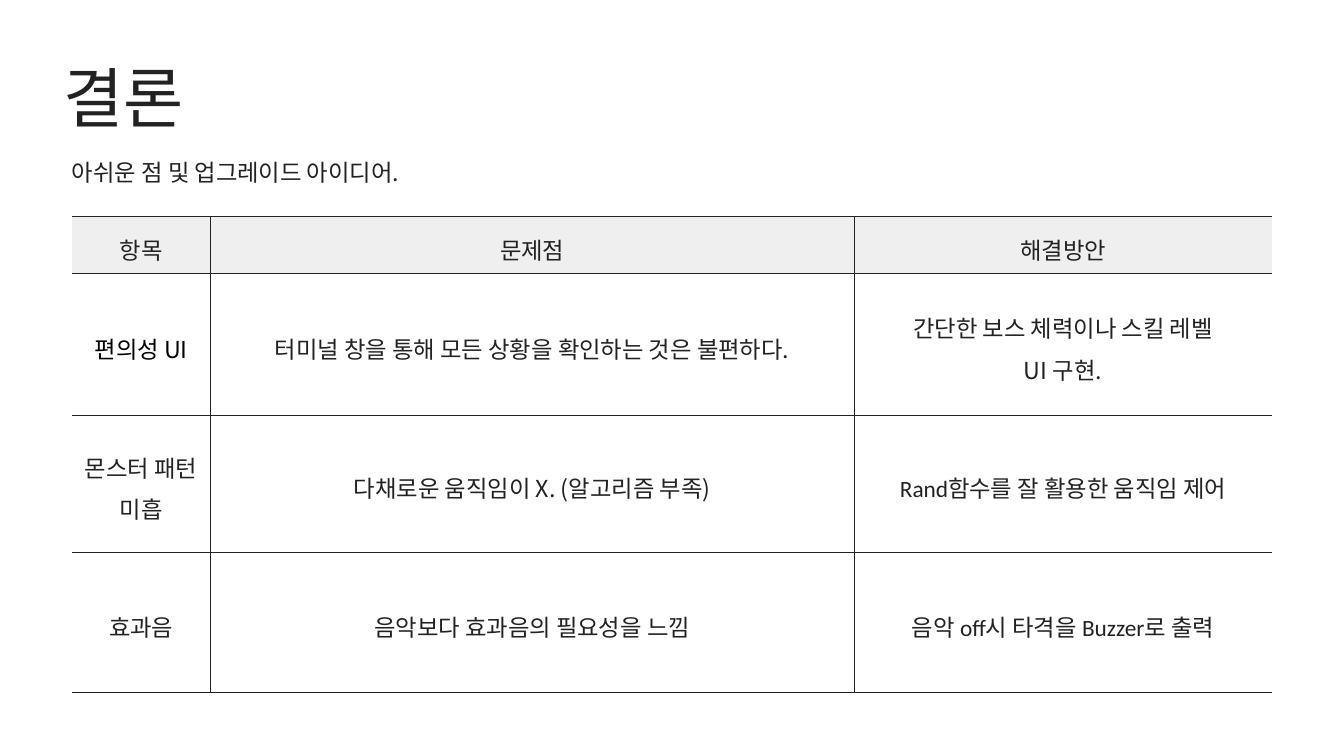
from lxml import etree
from pptx import Presentation
from pptx.dml.color import RGBColor
from pptx.enum.text import MSO_ANCHOR, PP_ALIGN
from pptx.oxml.ns import qn
from pptx.util import Cm, Pt

MIDDLE = MSO_ANCHOR.MIDDLE
CENTER = PP_ALIGN.CENTER
LEFT = PP_ALIGN.LEFT

CALIBRI = "Calibri"
NOTO = "Noto Sans CJK KR"
INK = "222222"
BLACK = "000000"
HEADER_FILL = "EFEFEF"
BODY_FILL = "FFFFFF"
BODY_SIZE = 25
RULE_WIDTH = 0.5

TITLE = "결론"
SUBTITLE = "아쉬운 점 및 업그레이드 아이디어."
ROWS = [
    [("항목", CALIBRI, INK), ("문제점", CALIBRI, INK), ("해결방안", CALIBRI, INK)],
    [
        ("편의성 UI", NOTO, BLACK),
        ("터미널 창을 통해 모든 상황을 확인하는 것은 불편하다.", NOTO, INK),
        ("간단한 보스 체력이나 스킬 레벨\nUI 구현.", NOTO, INK),
    ],
    [
        ("몬스터 패턴\n미흡", CALIBRI, INK),
        ("다채로운 움직임이 X. (알고리즘 부족)", NOTO, INK),
        ("Rand함수를 잘 활용한 움직임 제어", CALIBRI, INK),
    ],
    [
        ("효과음", CALIBRI, INK),
        ("음악보다 효과음의 필요성을 느낌", NOTO, INK),
        ("음악 off시 타격을 Buzzer로 출력", CALIBRI, INK),
    ],
]
COLUMN_WIDTHS = [5.23, 24.33, 15.8]
ROW_HEIGHTS = [2.16, 5.36, 5.18, 5.28]


def color(value):
    return RGBColor.from_string(value)


def write(frame, text, font, ink, size, spacing, align):
    frame.word_wrap = True
    for index, line in enumerate(text.split("\n")):
        paragraph = frame.add_paragraph() if index else frame.paragraphs[0]
        paragraph.alignment = align
        paragraph.line_spacing = spacing
        run = paragraph.add_run()
        run.text = line
        run.font.size = Pt(size)
        run.font.color.rgb = color(ink)
        run.font.name = font
        etree.SubElement(run.font._element, qn("a:ea"), typeface=NOTO)


def add_text(slide, box, text, font, size, spacing):
    frame = slide.shapes.add_textbox(*map(Cm, box)).text_frame
    frame.margin_left = frame.margin_right = 0
    frame.margin_top = frame.margin_bottom = 0
    frame.vertical_anchor = MIDDLE
    write(frame, text, font, INK, size, spacing, LEFT)


def set_borders(cell, visible):
    properties = cell._tc.get_or_add_tcPr()
    for side in "LRTB":
        rule = etree.SubElement(properties, qn(f"a:ln{side}"), w=str(Pt(RULE_WIDTH)))
        if side in visible:
            fill = etree.SubElement(rule, qn("a:solidFill"))
            etree.SubElement(fill, qn("a:srgbClr"), val=INK)
        else:
            etree.SubElement(rule, qn("a:noFill"))


def add_issue_table(slide):
    box = (2.72, 8.18, sum(COLUMN_WIDTHS), sum(ROW_HEIGHTS))
    table = slide.shapes.add_table(len(ROWS), len(COLUMN_WIDTHS), *map(Cm, box)).table
    table.first_row = False
    table.horz_banding = False
    for column, width in zip(table.columns, COLUMN_WIDTHS):
        column.width = Cm(width)
    for row, height in zip(table.rows, ROW_HEIGHTS):
        row.height = Cm(height)

    last = len(COLUMN_WIDTHS) - 1
    for r, row in enumerate(ROWS):
        for c, (text, font, ink) in enumerate(row):
            cell = table.cell(r, c)
            cell.margin_left = cell.margin_right = Cm(0.05)
            cell.margin_top = cell.margin_bottom = Cm(0.05)
            cell.vertical_anchor = MIDDLE
            set_borders(cell, "TB" + "L" * (c > 0) + "R" * (c < last))
            cell.fill.solid()
            cell.fill.fore_color.rgb = color(BODY_FILL if r else HEADER_FILL)
            write(cell.text_frame, text, font, ink, BODY_SIZE, 1.24, CENTER)


def main():
    deck = Presentation()
    deck.slide_width = Cm(50.8)
    deck.slide_height = Cm(28.58)
    slide = deck.slides.add_slide(deck.slide_layouts[6])
    add_issue_table(slide)
    add_text(slide, (2.39, 2.06, 44, 3.45), TITLE, CALIBRI, 70, 0.95)
    add_text(slide, (2.72, 5.72, 15.34, 1.24), SUBTITLE, NOTO, BODY_SIZE, 1.33)
    deck.save("out.pptx")


if __name__ == "__main__":
    main()
